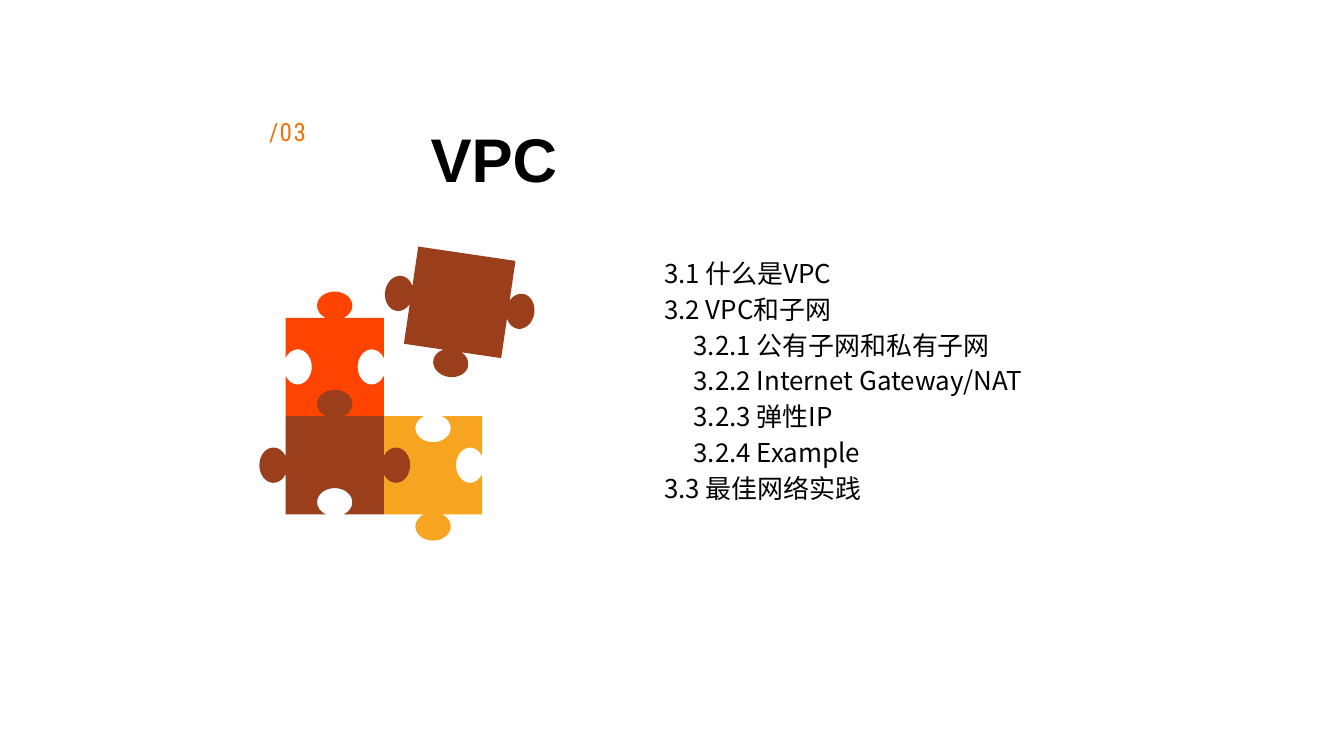
"""Build the VPC chapter slide with its outline and jigsaw pieces."""
import math
from dataclasses import dataclass, field

import pptx
import pptx.dml.color
import pptx.enum.text
import pptx.util
from lxml import etree
from pptx.oxml.ns import qn

Inches = pptx.util.Inches
Pt = pptx.util.Pt
Anchor = pptx.enum.text.MSO_ANCHOR
Align = pptx.enum.text.PP_ALIGN
Point = tuple[float, float]

SIDE = 1.95 / 2
REACH, DEPTH, HALF = 0.12, 0.14, 0.35 / 2
LEFT, TOP = 3.32, 3.64
TAB, FLAT, HOLE = 1, 0, -1


@dataclass
class Piece:
    x: float
    y: float
    fill: str
    sides: tuple[int, int, int, int]
    turn: float = 0


@dataclass
class Label:
    box: tuple[float, float, float, float]
    lines: list[tuple[str, int]]
    font: dict
    para: dict = field(default_factory=dict)
    frame: dict = field(default_factory=dict)
    gap: float = 0
    track: int = 0


PIECES = [
    Piece(LEFT + SIDE, TOP + SIDE, "F7A521", (HOLE, HOLE, TAB, FLAT)),
    Piece(4.56, 3.0, "9B3E1B", (FLAT, TAB, TAB, TAB), 8.4),
    Piece(LEFT, TOP, "FF4300", (TAB, HOLE, FLAT, HOLE)),
    Piece(LEFT, TOP + SIDE, "9B3E1B", (TAB, TAB, HOLE, TAB)),
]

LABELS = [
    Label((1.54, 1.27, 6.72, 0.72), [("VPC", 0)],
          {"name": "Arial", "size": Pt(44), "bold": True, "color": "000000"},
          {"alignment": Align.CENTER, "line_spacing": 0.9},
          {"word_wrap": True, "vertical_anchor": Anchor.BOTTOM}),
    Label((6.49, 2.59, 5.5, 2.63),
          [("3.1 什么是VPC", 0), ("3.2 VPC和子网", 0),
           ("3.2.1 公有子网和私有子网", 1), ("3.2.2 Internet Gateway/NAT", 1),
           ("3.2.3 弹性IP", 1), ("3.2.4 Example", 1), ("3.3 最佳网络实践", 0)],
          {"name": "Noto Sans CJK SC", "size": Pt(18.5), "color": "000000"},
          {"line_spacing": 0.7}, {"word_wrap": True}, gap=10),
    Label((2.57, 1.1, 1.12, 0.97), [("/03", 0)],
          {"name": "Roboto Condensed", "size": Pt(18), "color": "EE7206"},
          frame={"word_wrap": False}, track=100),
]


def tint(code: str) -> pptx.dml.color.RGBColor:
    return pptx.dml.color.RGBColor.from_string(code)


def apply(item, values: dict) -> None:
    for name, value in values.items():
        if name == "color":
            item.color.rgb = tint(value)
        else:
            setattr(item, name, value)


def knob(kind: int) -> list[Point]:
    """Return the knob of a top edge as a start and four cubic curves."""
    limit = math.acos(-REACH / DEPTH)
    stops = [-limit, -math.pi / 2, 0, math.pi / 2, limit]

    def spot(angle: float, pull: float = 0) -> Point:
        x = math.sin(angle) + pull * math.cos(angle)
        y = math.cos(angle) - pull * math.sin(angle)
        return HALF * x, -SIDE / 2 - kind * (REACH + DEPTH * y)

    points = [spot(-limit)]
    for start, end in zip(stops, stops[1:]):
        pull = 4 / 3 * math.tan((end - start) / 4)
        points += [spot(start, pull), spot(end, -pull), spot(end)]
    return points


def edge(kind: int) -> list[Point]:
    """Return the curves of a top edge, left to right, after its corner."""
    corner = [(SIDE / 2, -SIDE / 2)] * 3
    if not kind:
        return corner
    start, *curves = knob(kind)
    return [start] * 3 + curves + corner


def outline(piece: Piece) -> list[tuple[int, int]]:
    def place(point: Point, index: int) -> tuple[int, int]:
        angle = math.radians(90 * index + piece.turn)
        cos, sin = math.cos(angle), math.sin(angle)
        x, y = point
        return (Inches(piece.x + x * cos - y * sin),
                Inches(piece.y + x * sin + y * cos))

    return [place((-SIDE / 2, -SIDE / 2), 0)] + [
        place(point, index)
        for index, kind in enumerate(piece.sides) for point in edge(kind)]


def bend(shape) -> None:
    """Turn each three line segments into one cubic curve."""
    lines = list(shape._element.iter(qn("a:lnTo")))
    for trio in zip(*[iter(lines)] * 3):
        curve = etree.Element(qn("a:cubicBezTo"))
        trio[0].addprevious(curve)
        for line in trio:
            curve.append(line[0])
            line.getparent().remove(line)


def draw(slide, piece: Piece) -> None:
    first, *rest = outline(piece)
    maker = slide.shapes.build_freeform(*first)
    maker.add_line_segments(rest, close=True)
    shape = maker.convert_to_shape()
    bend(shape)
    shape.shadow.inherit = False
    shape.fill.solid()
    shape.fill.fore_color.rgb = tint(piece.fill)
    shape.line.fill.background()


def write(slide, label: Label) -> None:
    frame = slide.shapes.add_textbox(*map(Inches, label.box)).text_frame
    apply(frame, label.frame)
    for index, (text, level) in enumerate(label.lines):
        para = frame.add_paragraph() if index else frame.paragraphs[0]
        apply(para, label.para)
        if index:
            para.space_before = Pt(label.gap)
        if level:
            para._p.get_or_add_pPr().set("marL", str(Inches(0.29 * level)))
        run = para.add_run()
        run.text = text
        apply(run.font, label.font)
        props = run._r.get_or_add_rPr()
        etree.SubElement(props, qn("a:ea"), typeface=label.font["name"])
        if label.track:
            props.set("spc", str(label.track))


def main() -> None:
    deck = pptx.Presentation()
    deck.slide_width, deck.slide_height = Inches(13.33), Inches(7.5)
    slide = deck.slides.add_slide(deck.slide_layouts[6])
    for label in LABELS:
        write(slide, label)
    for piece in PIECES:
        draw(slide, piece)
    deck.save("out.pptx")


if __name__ == "__main__":
    main()
